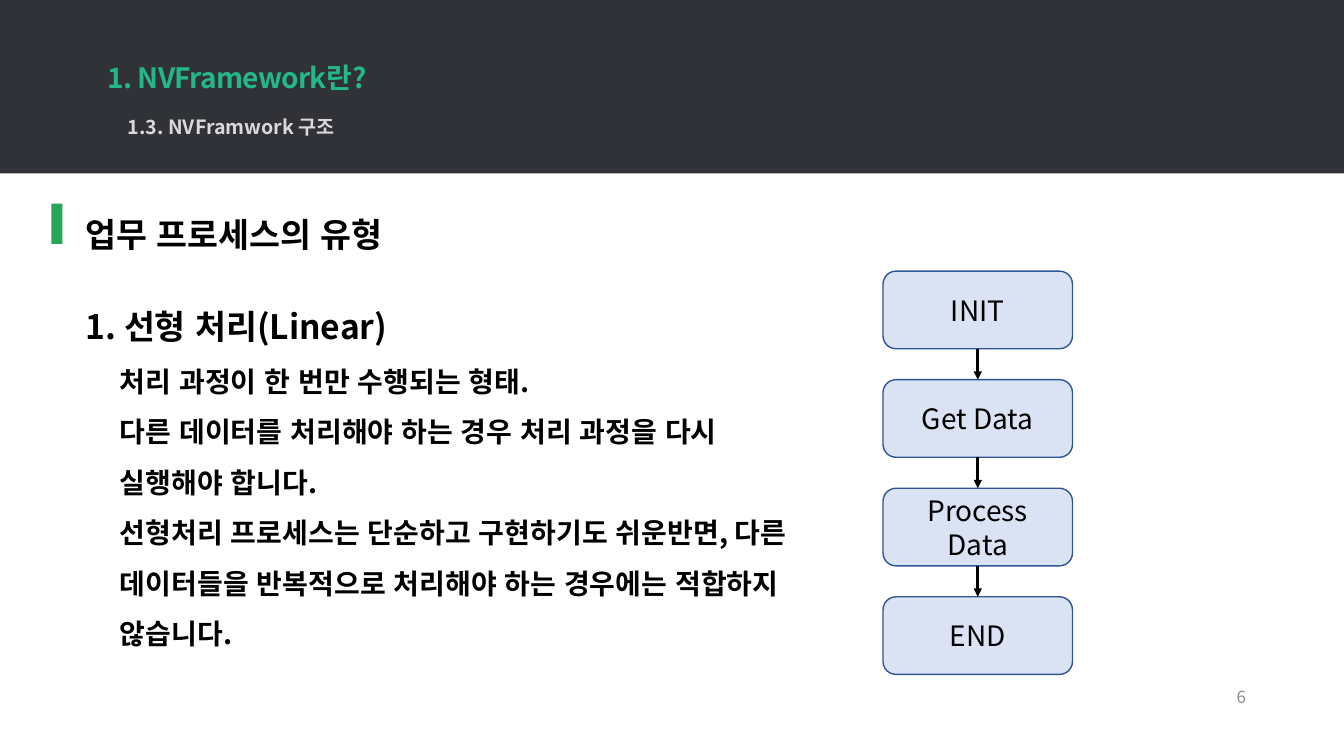
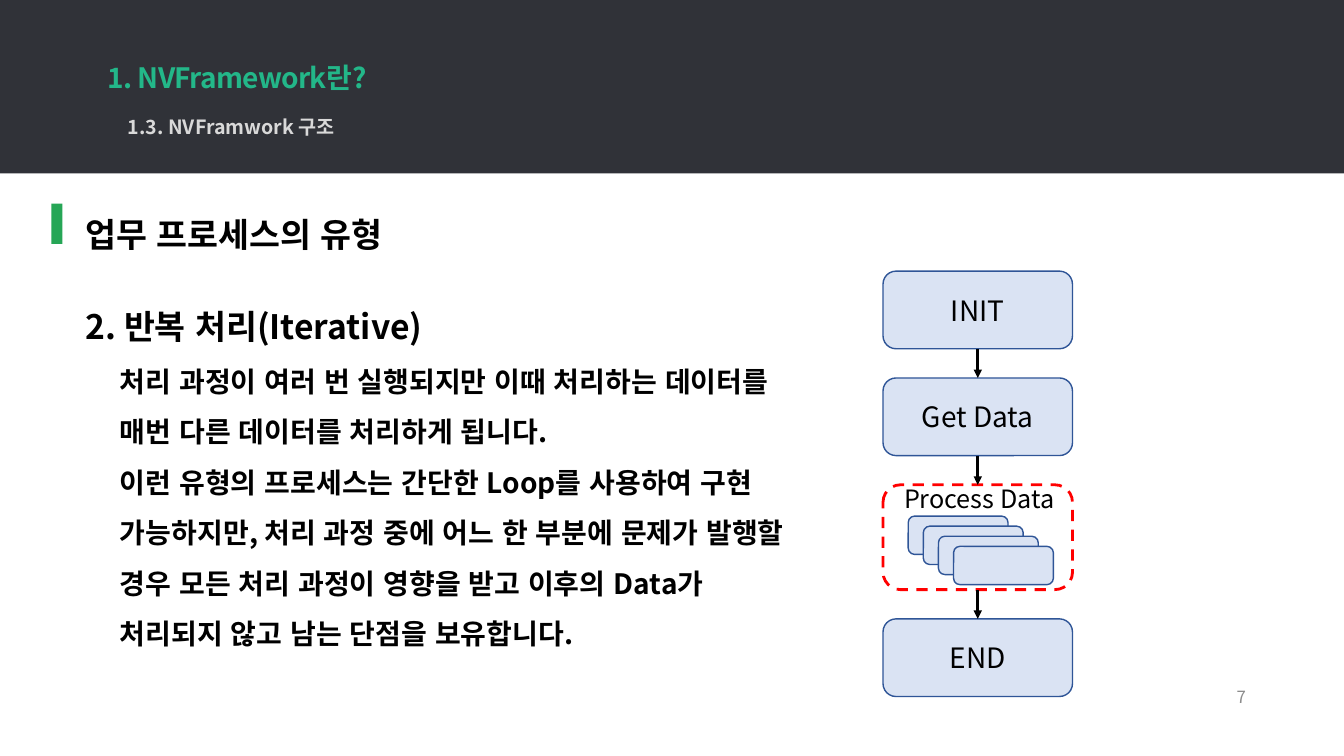
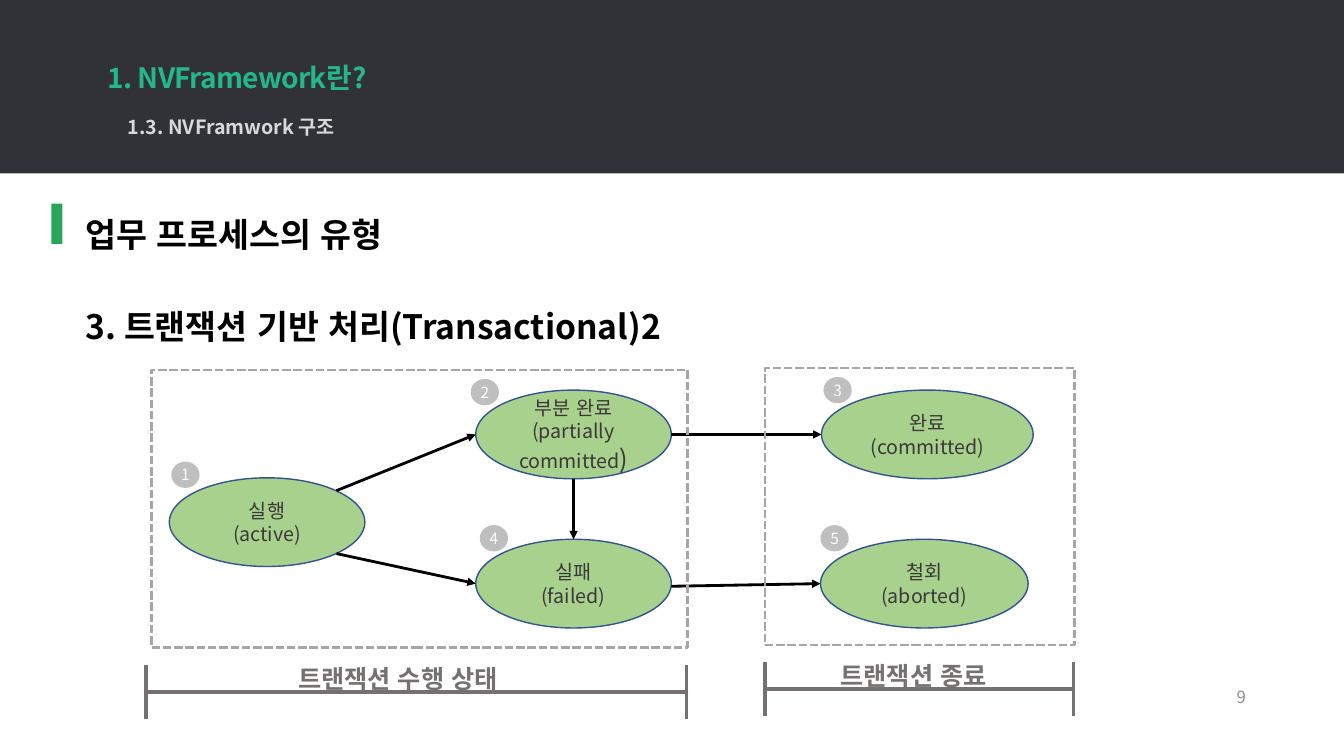
from itertools import pairwise

from lxml import etree
from pptx import Presentation
from pptx.dml.color import RGBColor
from pptx.enum.dml import MSO_LINE
from pptx.enum.lang import MSO_LANGUAGE_ID
from pptx.enum.shapes import MSO_CONNECTOR, MSO_SHAPE
from pptx.enum.text import MSO_ANCHOR, MSO_AUTO_SIZE, PP_ALIGN
from pptx.oxml.ns import qn
from pptx.util import Emu, Inches, Pt

RECT, ROUNDED, OVAL = MSO_SHAPE.RECTANGLE, MSO_SHAPE.ROUNDED_RECTANGLE, MSO_SHAPE.OVAL
STRAIGHT = MSO_CONNECTOR.STRAIGHT
DASH, SHORT_DASH = MSO_LINE.DASH, MSO_LINE.SQUARE_DOT
LEFT, CENTER, RIGHT = PP_ALIGN.LEFT, PP_ALIGN.CENTER, PP_ALIGN.RIGHT
TOP, MIDDLE = MSO_ANCHOR.TOP, MSO_ANCHOR.MIDDLE
NO_AUTOFIT = MSO_AUTO_SIZE.NONE
KOREAN = MSO_LANGUAGE_ID.KOREAN
TITLE_AND_CONTENT, TITLE_ONLY = 1, 5
TOP_SIDE, BOTTOM_SIDE = 0, 2

FONT = "Noto Sans CJK KR"
BLACK = RGBColor(0x00, 0x00, 0x00)
WHITE = RGBColor(0xFF, 0xFF, 0xFF)
BAND = RGBColor(0x30, 0x32, 0x38)
TITLE = RGBColor(0x23, 0xB7, 0x89)
SUBTITLE = RGBColor(0xD9, 0xD9, 0xD9)
PAGE_NUMBER = RGBColor(0x8C, 0x8C, 0x8C)
ACCENT = RGBColor(0x26, 0xA6, 0x56)
STEP_FILL = RGBColor(0xDA, 0xE3, 0xF3)
STEP_LINE = RGBColor(0x2F, 0x55, 0x97)
LOOP_LINE = RGBColor(0xFF, 0x00, 0x00)
STATE_FILL = RGBColor(0xA9, 0xD1, 0x8E)
STATE_LINE = RGBColor(0x32, 0x54, 0x91)
STATE_TEXT = RGBColor(0x3B, 0x38, 0x38)
FRAME_LINE = RGBColor(0xA6, 0xA6, 0xA6)
BADGE = RGBColor(0xBF, 0xBF, 0xBF)
SPAN = RGBColor(0x76, 0x71, 0x71)

# Lengths are counted in square grid cells, 75 to the slide's height.
CELL = Inches(0.1)
SLIDE_W, SLIDE_H = 133.33, 75
STEP_X, STEP_W, STEP_H = 87.6, 18.8, 7.7
STATE_W, STATE_H = 19.4, 8.8
UPPER_ROW, MIDDLE_ROW, LOWER_ROW = 38.7, 47.4, 53.5
DIAGONAL = 0.71


def grid(*cells):
    return [Emu(round(count * CELL)) for count in cells]


def add_run(paragraph, text, size, color, bold=False, spacing=None):
    run = paragraph.add_run()
    run.text = text
    font = run.font
    font.size, font.bold = Pt(size), bold
    font.color.rgb = color
    font.name = FONT
    font.language_id = KOREAN
    properties = run._r.get_or_add_rPr()
    etree.SubElement(properties, qn("a:ea"), typeface=FONT)
    if spacing is not None:
        properties.set("spc", str(round(spacing * 100)))


def write(shape, *lines, size, color=BLACK, bold=False, spacing=None, align=LEFT,
          anchor=TOP, line_spacing=1.0, side_margins=(1, 1), end_margins=0.5):
    """Fill a shape with one plain, unbulleted paragraph per line."""
    frame = shape.text_frame
    frame.word_wrap = True
    frame.auto_size = NO_AUTOFIT
    frame.vertical_anchor = anchor
    frame.margin_left, frame.margin_right = grid(*side_margins)
    frame.margin_top, frame.margin_bottom = grid(end_margins, end_margins)
    for index, line in enumerate(lines):
        paragraph = frame.add_paragraph() if index else frame.paragraphs[0]
        properties = paragraph._p.get_or_add_pPr()
        properties.set("marL", "0")
        properties.set("indent", "0")
        etree.SubElement(properties, qn("a:buNone"))
        paragraph.alignment = align
        paragraph.line_spacing = line_spacing
        paragraph.space_before = Pt(0)
        add_run(paragraph, line, size, color, bold, spacing)


def add_text(slide, box, *lines, **text_format):
    write(slide.shapes.add_textbox(*grid(*box)), *lines, **text_format)


def fill_placeholder(placeholder, box, *lines, **text_format):
    placeholder.left, placeholder.top, placeholder.width, placeholder.height = grid(*box)
    write(placeholder, *lines, **text_format)


def add_block(slide, kind, box, fill=None, line=None, width=1, dash=None):
    block = slide.shapes.add_shape(kind, *grid(*box))
    block.shadow.inherit = False
    if fill is None:
        block.fill.background()
    else:
        block.fill.solid()
        block.fill.fore_color.rgb = fill
    if line is None:
        block.line.fill.background()
    else:
        block.line.color.rgb = line
        block.line.width = Pt(width)
        if dash is not None:
            block.line.dash_style = dash
    return block


def add_line(slide, start, end, color=BLACK, width=2, arrow=False):
    """Draw a straight line between two points given in EMU."""
    line = slide.shapes.add_connector(STRAIGHT, *start, *end)
    line.line.color.rgb = color
    line.line.width = Pt(width)
    if arrow:
        etree.SubElement(line.line._get_or_add_ln(), qn("a:tailEnd"), type="triangle")
    etree.SubElement(line.element.spPr, qn("a:effectLst"))
    return line


def add_page(deck, layout, number, heading):
    slide = deck.slides.add_slide(deck.slide_layouts[layout])
    band = add_block(slide, RECT, (0, 0, SLIDE_W, 17.2), BAND)
    slide.shapes.element.insert(2, band.element)  # behind the title
    fill_placeholder(slide.shapes.title, (9.7, 5.5, 60.3, 4.4), "1. NVFramework란?",
                     size=20, color=TITLE, bold=True, spacing=-0.5)
    add_text(slide, (11.7, 9.7, 118.4, 4.2), "1.3. NVFramwork 구조",
             size=14, color=SUBTITLE, bold=True, line_spacing=1.5)
    add_text(slide, (94.6, 67.1, 30, 4), str(number),
             size=12, color=PAGE_NUMBER, align=RIGHT, anchor=MIDDLE)
    add_block(slide, RECT, (5.1, 20.2, 1.1, 4), ACCENT)
    for top, width, text in ((18.7, 36.9, "업무 프로세스의 유형"), (27.9, 119.7, heading)):
        add_text(slide, (6.8, top, width, 7.1), text, size=24, bold=True,
                 line_spacing=1.5, side_margins=(1.7, 1))
    return slide


def add_description(slide, *lines):
    fill_placeholder(slide.placeholders[1], (10.9, 34, 70, 31.3), *lines,
                     size=20, bold=True, line_spacing=1.5)


def add_step(slide, top, label):
    step = add_block(slide, ROUNDED, (STEP_X, top, STEP_W, STEP_H), STEP_FILL, STEP_LINE)
    write(step, label, size=20, align=CENTER, anchor=MIDDLE, side_margins=(1.5, 1.5))
    return step


def add_loop_step(slide, top):
    """Add the dashed step that holds a stack of repeated items."""
    loop = add_block(slide, ROUNDED, (STEP_X, top, STEP_W, 10.4),
                     line=LOOP_LINE, width=2, dash=DASH)
    add_text(slide, (STEP_X + 1.1, top - 0.6, STEP_W, 4), "Process Data", size=18)
    for item in range(4):
        add_block(slide, ROUNDED,
                  (STEP_X + 2.5 + 1.5 * item, top + 3.1 + item, 9.9, 3.8),
                  STEP_FILL, STEP_LINE)
    return loop


def chain(slide, steps):
    for upper, lower in pairwise(steps):
        arrow = add_line(slide, (0, 0), (0, 0), arrow=True)
        arrow.begin_connect(upper, BOTTOM_SIDE)
        arrow.end_connect(lower, TOP_SIDE)


def add_state(slide, left, top, *lines, width=STATE_W):
    state = add_block(slide, OVAL, (left, top, width, STATE_H), STATE_FILL, STATE_LINE)
    write(state, *lines, size=14, color=STATE_TEXT, align=CENTER, anchor=MIDDLE)
    return state


def rim(state, across, down):
    """Return the point at the given shares of the half axes from the centre."""
    return (round(state.left + state.width * (1 + across) / 2),
            round(state.top + state.height * (1 + down) / 2))


def add_badge(slide, number, left, top):
    badge = add_block(slide, OVAL, (left, top, 2.6, 2.4), BADGE, BADGE, 1.5)
    write(badge, str(number), size=11, color=WHITE, align=CENTER, anchor=MIDDLE,
          side_margins=(0, 0), end_margins=0)


def add_span(slide, left, right, top, label, label_left, label_width):
    """Draw a dimension line with end bars and its label."""
    bottom = top + 5.3
    middle = (top + bottom) / 2
    for start, end in (((left, top), (left, bottom)),
                       ((right, top), (right, bottom)),
                       ((left, middle), (right, middle))):
        add_line(slide, grid(*start), grid(*end), SPAN, 2.75)
    add_text(slide, (label_left, top - 2.2, label_width, 6.5), label,
             size=18, color=SPAN, bold=True, line_spacing=1.5)


def build_linear(deck):
    slide = add_page(deck, TITLE_AND_CONTENT, 6, "1. 선형 처리(Linear)")
    add_description(
        slide,
        "처리 과정이 한 번만 수행되는 형태.",
        "다른 데이터를 처리해야 하는 경우 처리 과정을 다시 실행해야 합니다.",
        "선형처리 프로세스는 단순하고 구현하기도 쉬운반면, 다른 데이터들을 "
        "반복적으로 처리해야 하는 경우에는 적합하지 않습니다.")
    labels = ("INIT", "Get Data", "Process Data", "END")
    chain(slide, [add_step(slide, 26.9 + 10.77 * row, label)
                  for row, label in enumerate(labels)])


def build_iterative(deck):
    slide = add_page(deck, TITLE_AND_CONTENT, 7, "2. 반복 처리(Iterative)")
    add_description(
        slide,
        "처리 과정이 여러 번 실행되지만 이때 처리하는 데이터를 매번 다른 데이터를 "
        "처리하게 됩니다.",
        "이런 유형의 프로세스는 간단한 Loop를 사용하여 구현",
        "가능하지만, 처리 과정 중에 어느 한 부분에 문제가 발행할 경우 모든 처리 과정이 "
        "영향을 받고 이후의 Data가 처리되지 않고 남는 단점을 보유합니다.")
    chain(slide, [add_step(slide, 26.9, "INIT"), add_step(slide, 37.5, "Get Data"),
                  add_loop_step(slide, 48.1), add_step(slide, 61.4, "END")])


def build_transactional(deck):
    slide = add_page(deck, TITLE_ONLY, 9, "3. 트랜잭션 기반 처리(Transactional)2")
    add_span(slide, 14.5, 68.1, 66, "트랜잭션 수행 상태", 28.6, 34.7)
    add_span(slide, 75.9, 106.5, 65.7, "트랜잭션 종료", 82.4, 22.3)

    active = add_state(slide, 16.8, MIDDLE_ROW, "실행", "(active)")
    partial = add_state(slide, 47.2, UPPER_ROW, "부분 완료", "(partially committed")
    add_run(partial.text_frame.paragraphs[-1], ")", 18, STATE_TEXT)
    failed = add_state(slide, 47.2, LOWER_ROW, "실패", "(failed)")
    committed = add_state(slide, 81.5, UPPER_ROW, "완료", "(committed)", width=21)
    aborted = add_state(slide, 81.4, LOWER_ROW, "철회", "(aborted)", width=20.6)

    for start, end in (
            (rim(active, DIAGONAL, -DIAGONAL), rim(partial, -1, 0)),
            (rim(active, DIAGONAL, DIAGONAL), rim(failed, -1, 0)),
            (rim(partial, 1, 0), rim(committed, -1, 0)),
            (rim(failed, 1, 0.06), rim(aborted, -1, 0)),
            (rim(partial, 0, 1), rim(failed, 0, -1))):
        add_line(slide, start, end, arrow=True)

    for frame in ((15, 36.7, 53.2, 27.5), (75.9, 36.5, 30.7, 27.5)):
        add_block(slide, RECT, frame, line=FRAME_LINE, width=2, dash=SHORT_DASH)
    badge_corners = ((17.1, 45.9), (46.8, 37.7), (81.8, 37.5), (47.7, 52.2), (81.5, 52.2))
    for number, corner in enumerate(badge_corners, start=1):
        add_badge(slide, number, *corner)


def main():
    deck = Presentation()
    deck.slide_width, deck.slide_height = grid(SLIDE_W, SLIDE_H)
    build_linear(deck)
    build_iterative(deck)
    build_transactional(deck)
    deck.save("out.pptx")


if __name__ == "__main__":
    main()
